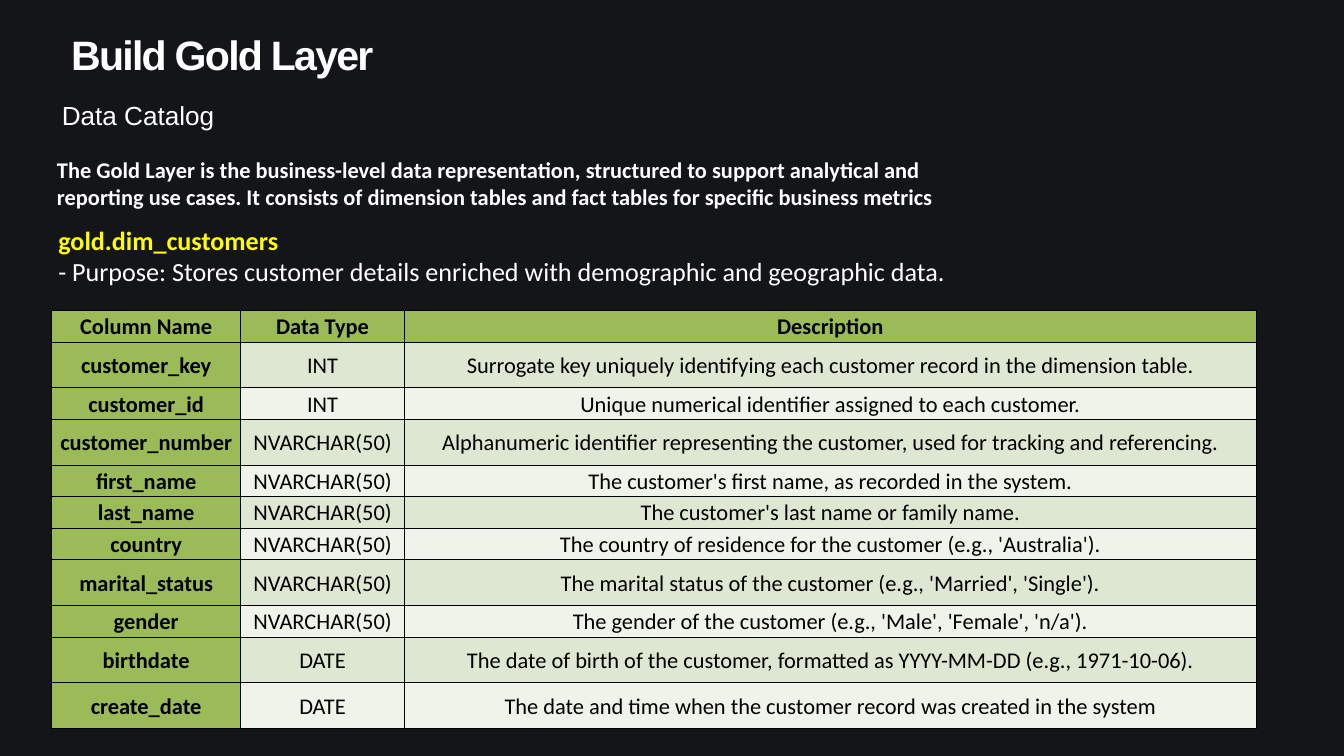
from lxml import etree
from pptx import Presentation
from pptx.dml.color import RGBColor
from pptx.enum.text import MSO_ANCHOR, MSO_AUTO_SIZE, PP_ALIGN
from pptx.oxml.ns import qn
from pptx.util import Inches, Pt

CENTER = PP_ALIGN.CENTER
MIDDLE = MSO_ANCHOR.MIDDLE
GROW = MSO_AUTO_SIZE.SHAPE_TO_FIT_TEXT

DARK = RGBColor(0x14, 0x15, 0x19)
WHITE = RGBColor(0xFF, 0xFF, 0xFF)
BLACK = RGBColor(0, 0, 0)
YELLOW = RGBColor(0xFF, 0xFF, 0)
GREEN = RGBColor(0x9B, 0xBB, 0x59)
BANDS = (RGBColor(0xEF, 0xF3, 0xEA), RGBColor(0xDE, 0xE7, 0xD1))

LOW, TALL = 0.47, 0.68
COLS = (2.81, 2.44, 12.67)
HEADS = ("Column Name", "Data Type", "Description")
FIELDS = (
    ("customer_key", "INT", "Surrogate key uniquely identifying each customer record in the dimension table.", TALL),
    ("customer_id", "INT", "Unique numerical identifier assigned to each customer.", LOW),
    ("customer_number", "NVARCHAR(50)",
     "Alphanumeric identifier representing the customer, used for tracking and referencing.", TALL),
    ("first_name", "NVARCHAR(50)", "The customer's first name, as recorded in the system.", LOW),
    ("last_name", "NVARCHAR(50)", "The customer's last name or family name.", LOW),
    ("country", "NVARCHAR(50)", "The country of residence for the customer (e.g., 'Australia').", LOW),
    ("marital_status", "NVARCHAR(50)", "The marital status of the customer (e.g., 'Married', 'Single').", TALL),
    ("gender", "NVARCHAR(50)", "The gender of the customer (e.g., 'Male', 'Female', 'n/a').", LOW),
    ("birthdate", "DATE", "The date of birth of the customer, formatted as YYYY-MM-DD (e.g., 1971-10-06).", TALL),
    ("create_date", "DATE", "The date and time when the customer record was created in the system", TALL),
)


def write(para, text, size=24, font="Calibri", color=WHITE, bold=False, track=None):
    run = para.add_run()
    run.text = text
    run.font.size = Pt(size)
    run.font.name = font
    run.font.color.rgb = color
    run.font.bold = bold
    if track:
        run._r.get_or_add_rPr().set("spc", str(round(track * 100)))


def add_box(slide, box, inset=True):
    frame = slide.shapes.add_textbox(*map(Inches, box)).text_frame
    frame.word_wrap = True
    frame.auto_size = GROW
    if not inset:
        frame.margin_left = frame.margin_right = 0
        frame.margin_top = frame.margin_bottom = 0
    return frame.paragraphs[0]


def add_title(slide, box, text, **style):
    para = add_box(slide, box, inset=False)
    para.line_spacing = Pt(17.9)
    write(para, text, font="Arial", **style)


def add_intro(slide, box):
    write(add_box(slide, box),
          "The Gold Layer is the business-level data representation, structured to support analytical "
          "and reporting use cases. It consists of dimension tables and fact tables for specific "
          "business metrics", bold=True)


def add_purpose(slide, box):
    para = add_box(slide, box)
    write(para, "gold.dim_customers", size=28, color=YELLOW, bold=True)
    para.add_line_break()
    write(para, "- Purpose: Stores customer details enriched with demographic and geographic data.", size=28)


def add_borders(cell):
    props = cell._tc.get_or_add_tcPr()
    for spot, side in enumerate(("lnL", "lnR", "lnT", "lnB")):
        line = etree.Element(qn(f"a:{side}"), w=str(Pt(1)))
        fill = etree.SubElement(line, qn("a:solidFill"))
        etree.SubElement(fill, qn("a:srgbClr"), val=str(BLACK))
        props.insert(spot, line)


def fill_cell(cell, text, color, bold):
    cell.fill.solid()
    cell.fill.fore_color.rgb = color
    cell.vertical_anchor = MIDDLE
    cell.margin_left = cell.margin_right = Inches(0.07)
    cell.margin_top = cell.margin_bottom = 0
    para = cell.text_frame.paragraphs[0]
    para.alignment = CENTER
    para.line_spacing = 1.07
    para.space_after = Pt(12)
    write(para, text, color=BLACK, bold=bold)
    add_borders(cell)


def add_catalog(slide, box):
    rows = ((*HEADS, LOW), *FIELDS)
    table = slide.shapes.add_table(len(rows), len(COLS), *map(Inches, box)).table
    for col, width in zip(table.columns, COLS):
        col.width = Inches(width)
    for r, (*texts, height) in enumerate(rows):
        table.rows[r].height = Inches(height)
        for c, text in enumerate(texts):
            head = r == 0 or c == 0
            fill_cell(table.cell(r, c), text, GREEN if head else BANDS[r % 2], head)


def main():
    deck = Presentation()
    deck.slide_width = Inches(20)
    deck.slide_height = Inches(11.25)
    slide = deck.slides.add_slide(deck.slide_layouts[6])
    slide.background.fill.solid()
    slide.background.fill.fore_color.rgb = DARK
    add_title(slide, (1.06, 0.92, 15.47, 0.34), "Build Gold Layer", size=44, bold=True, track=-1.9)
    add_title(slide, (0.92, 1.7, 10.53, 0.28), "Data Catalog", size=28)
    add_intro(slide, (0.75, 2.28, 14.33, 0.91))
    add_catalog(slide, (0.77, 4.62, 17.92, 6.2))
    add_purpose(slide, (0.77, 3.29, 13.77, 1.04))
    deck.save("out.pptx")


if __name__ == "__main__":
    main()
